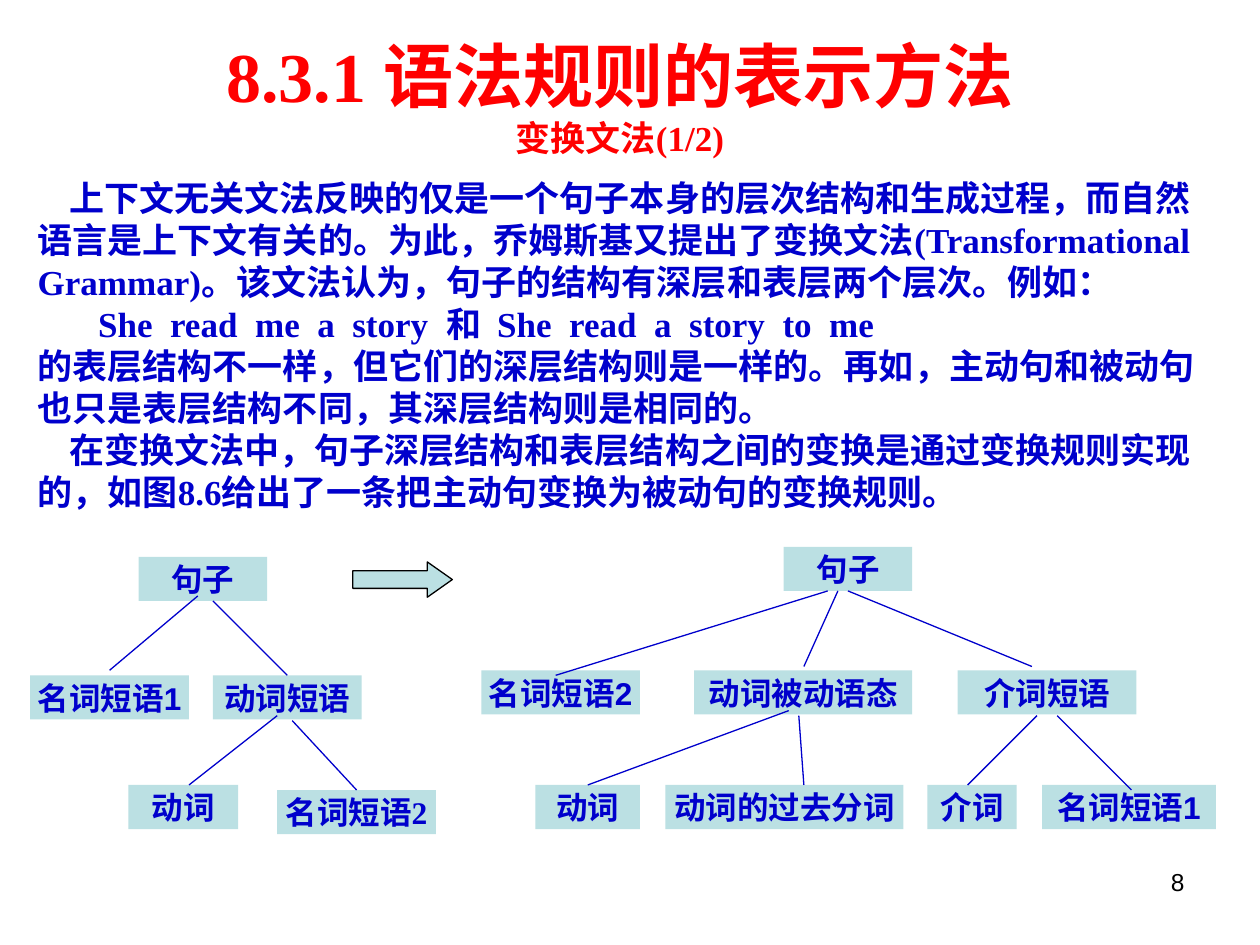
import pptx
import pptx.util
import pptx.dml.color
import pptx.enum.shapes
import pptx.enum.text
from pptx.oxml.ns import qn
from lxml import etree

RGB = pptx.dml.color.RGBColor
KIND = pptx.enum.shapes.MSO_SHAPE
ALIGN = pptx.enum.text.PP_ALIGN
ANCHOR = pptx.enum.text.MSO_ANCHOR
FIT = pptx.enum.text.MSO_AUTO_SIZE

RED = RGB(0xFF, 0x00, 0x00)
BLUE = RGB(0x00, 0x00, 0xCC)
TEAL = RGB(0xBB, 0xE0, 0xE3)
BLACK = RGB(0x00, 0x00, 0x00)

COLS, ROWS = 1000, 750
SERIF, SANS = "Times New Roman", "Arial"
HIGH = 35  # rows in a tree node

BODY = [  # first-line indent in columns, text
    (25, "上下文无关文法反映的仅是一个句子本身的层次结构和生成过程，而自然语言是上下文有关的。"
         "为此，乔姆斯基又提出了变换文法(Transformational  Grammar)。"
         "该文法认为，句子的结构有深层和表层两个层次。例如："),
    (48, "She  read  me  a  story  和  She  read  a  story  to  me"),
    (0, "的表层结构不一样，但它们的深层结构则是一样的。"
        "再如，主动句和被动句也只是表层结构不同，其深层结构则是相同的。"),
    (25, "在变换文法中，句子深层结构和表层结构之间的变换是通过变换规则实现的，"
         "如图8.6给出了一条把主动句变换为被动句的变换规则。"),
]

NODES = [  # column, row, columns wide, label, font
    (110, 442, 102, "句子", SANS),
    (24, 536, 126, "名词短语1", SANS),
    (169, 536, 118, "动词短语", SANS),
    (102, 623, 87, "动词", SANS),
    (220, 627, 126, "名词短语2", SERIF),
    (622, 434, 102, "句子", SANS),
    (382, 532, 126, "名词短语2", SANS),
    (551, 532, 173, "动词被动语态", SANS),
    (760, 532, 142, "介词短语", SANS),
    (425, 623, 83, "动词", SANS),
    (528, 623, 189, "动词的过去分词", SANS),
    (736, 623, 71, "介词", SANS),
    (827, 623, 138, "名词短语1", SANS),
]

EDGES = [  # parent end, child end
    ((157, 473), (87, 532)), ((169, 477), (228, 536)),
    ((220, 568), (150, 623)), ((232, 572), (284, 627)),
    ((657, 469), (441, 536)), ((665, 469), (638, 529)),
    ((673, 469), (819, 529)), ((626, 564), (465, 623)),
    ((634, 568), (638, 623)), ((823, 568), (768, 623)),
    ((839, 568), (898, 627)),
]


class Deck:
    """Holds the file, its current slide and the grid."""

    def __init__(self):
        self.file = pptx.Presentation()
        self.file.slide_width = pptx.util.Inches(10)
        self.file.slide_height = pptx.util.Inches(7.5)
        self.slide = self.file.slides.add_slide(self.file.slide_layouts[5])
        self.shapes = self.slide.shapes
        self.nodes = []

    def x(self, col):
        return round(self.file.slide_width * col / COLS)

    def y(self, row):
        return round(self.file.slide_height * row / ROWS)

    def area(self, col, row, wide, high):
        return self.x(col), self.y(row), self.x(wide), self.y(high)

    def label(self, par, text, size, color, name=SERIF, bold=True, align=ALIGN.LEFT):
        par.text = text
        par.alignment = align
        style = dict(name=name, size=pptx.util.Pt(size), bold=bold)
        for key, value in style.items():
            setattr(par.font, key, value)
        par.font.color.rgb = color

    def title(self, area, lines):
        shape = self.shapes.title
        for key, value in zip(("left", "top", "width", "height"), self.area(*area)):
            setattr(shape, key, value)
        frame = shape.text_frame
        frame.auto_size = FIT.NONE
        frame.vertical_anchor = ANCHOR.MIDDLE
        for i, (text, size) in enumerate(lines):
            par = frame.add_paragraph() if i else frame.paragraphs[0]
            self.label(par, text, size, RED, align=ALIGN.CENTER)

    def text(self, area, lines, **style):
        """Add a text box from pairs of indent and text."""
        frame = self.shapes.add_textbox(*self.area(*area)).text_frame
        frame.word_wrap = True
        for i, (dent, text) in enumerate(lines):
            par = frame.add_paragraph() if i else frame.paragraphs[0]
            if dent:
                par._p.get_or_add_pPr().set("indent", str(self.x(dent)))
            self.label(par, text, **style)

    def shape(self, kind, area):
        shape = self.shapes.add_shape(kind, *self.area(*area))
        shape.shadow.inherit = False
        shape.fill.solid()
        shape.fill.fore_color.rgb = TEAL
        shape.line.fill.background()
        return shape

    def node(self, col, row, wide, text, name):
        box = self.shape(KIND.RECTANGLE, (col, row, wide, HIGH))
        frame = box.text_frame
        frame.word_wrap = False
        frame.vertical_anchor = ANCHOR.MIDDLE
        self.label(frame.paragraphs[0], text, 18, BLUE, name, align=ALIGN.CENTER)
        self.nodes.append(box)

    def arrow(self, area):
        shape = self.shape(KIND.RIGHT_ARROW, area)
        shape.adjustments[1] = 0.71
        shape.line.color.rgb = BLACK
        shape.line.width = pptx.util.Pt(0.75)

    def find(self, point, low):
        """Return the node whose bottom (low) or top middle is at the point."""
        for box in self.nodes:
            gap_x = box.left + box.width / 2 - self.x(point[0])
            gap_y = box.top + box.height * low - self.y(point[1])
            if max(abs(gap_x), abs(gap_y)) <= self.x(2):
                return box

    def edge(self, start, end):
        line = self.shapes.add_connector(
            pptx.enum.shapes.MSO_CONNECTOR.STRAIGHT,
            self.x(start[0]), self.y(start[1]), self.x(end[0]), self.y(end[1]))
        line.line.color.rgb = BLUE
        line.line.width = pptx.util.Pt(0.75)
        etree.SubElement(line._element.spPr, qn("a:effectLst"))
        upper, lower = self.find(start, True), self.find(end, False)
        if upper is not None:
            line.begin_connect(upper, 2)
        if lower is not None:
            line.end_connect(lower, 0)


def main():
    deck = Deck()
    deck.title((118, 21, 748, 110), [("8.3.1 语法规则的表示方法", 40), ("变换文法(1/2)", 20)])
    deck.text((20, 135, 961, 277), BODY, size=20, color=BLUE)
    for node in NODES:
        deck.node(*node)
    deck.arrow((280, 446, 79, 28))
    for edge in EDGES:
        deck.edge(*edge)
    deck.text((717, 683, 233, 52), [(0, "8")], size=14, color=BLACK,
              name=SANS, bold=False, align=ALIGN.RIGHT)
    deck.file.save("out.pptx")


if __name__ == "__main__":
    main()
